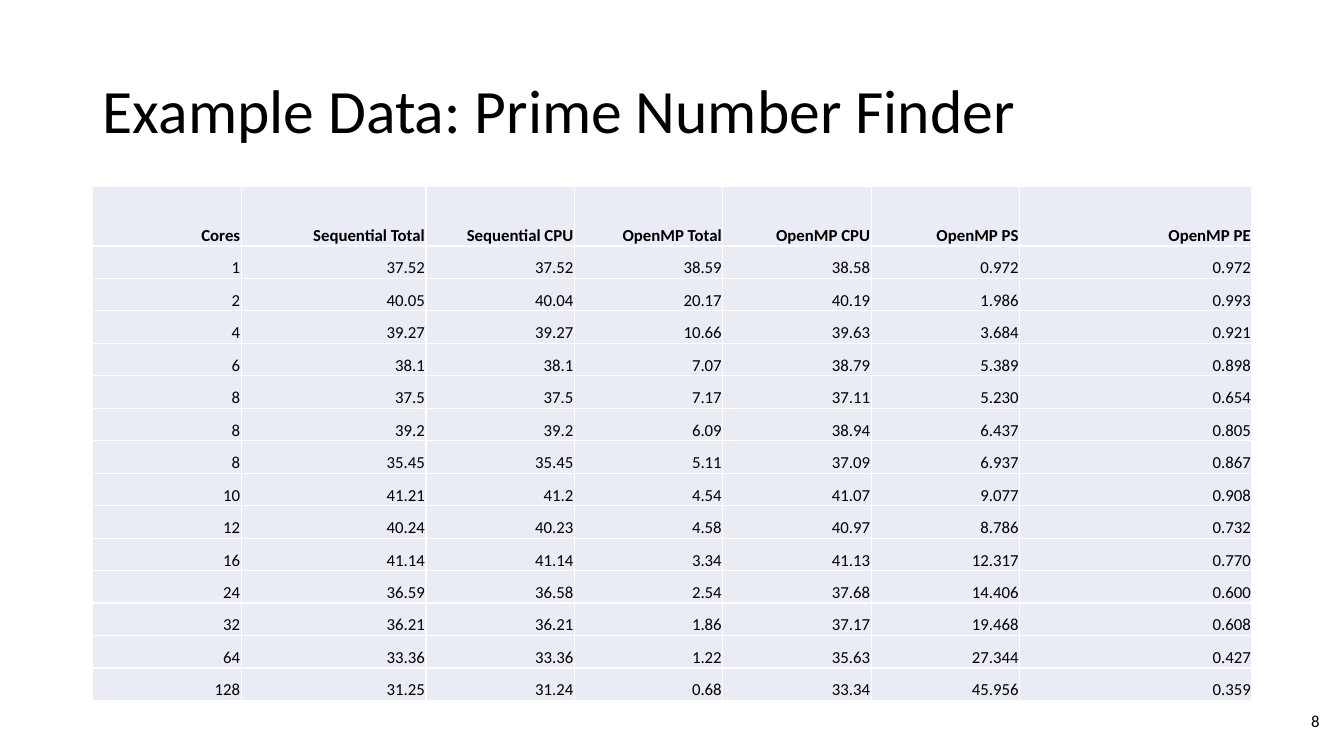
"""Build the slide that tabulates timings of the prime number finder."""
from dataclasses import dataclass

from lxml import etree
from pptx import Presentation
from pptx import util as u
from pptx.dml.color import RGBColor
from pptx.enum import text
from pptx.oxml import ns

BLACK = RGBColor(0x00, 0x00, 0x00)
WHITE = RGBColor(0xFF, 0xFF, 0xFF)
PALE_BLUE = RGBColor(0xE9, 0xEB, 0xF5)
FONT = "Calibri"
SLIDE_WIDTH, SLIDE_HEIGHT = u.Inches(13.33), u.Inches(7.5)


@dataclass(frozen=True)
class Area:
    """A rectangle in percent of the slide's width and height."""

    left: float
    top: float
    width: float
    height: float

    def box(self) -> tuple[int, int, int, int]:
        """Return left, top, width and height as slide lengths."""
        return (
            int(SLIDE_WIDTH * self.left / 100),
            int(SLIDE_HEIGHT * self.top / 100),
            int(SLIDE_WIDTH * self.width / 100),
            int(SLIDE_HEIGHT * self.height / 100),
        )


@dataclass(frozen=True)
class Column:
    """A table column with its heading and relative width."""

    heading: str
    share: float


TITLE_AREA = Area(6.9, 5.33, 86.25, 19.33)
TABLE_AREA = Area(6.9, 24.67, 86.25, 68)
NUMBER_AREA = Area(76.42, 92.67, 22.5, 5.33)
HEADER_SHARE = 0.59 / 5.1

COLUMNS = [
    Column("Cores", 1.47),
    Column("Sequential Total", 1.83),
    Column("Sequential CPU", 1.47),
    Column("OpenMP Total", 1.47),
    Column("OpenMP CPU", 1.47),
    Column("OpenMP PS", 1.47),
    Column("OpenMP PE", 2.3),
]
TIMINGS = """\
1 37.52 37.52 38.59 38.58 0.972 0.972
2 40.05 40.04 20.17 40.19 1.986 0.993
4 39.27 39.27 10.66 39.63 3.684 0.921
6 38.1 38.1 7.07 38.79 5.389 0.898
8 37.5 37.5 7.17 37.11 5.230 0.654
8 39.2 39.2 6.09 38.94 6.437 0.805
8 35.45 35.45 5.11 37.09 6.937 0.867
10 41.21 41.2 4.54 41.07 9.077 0.908
12 40.24 40.23 4.58 40.97 8.786 0.732
16 41.14 41.14 3.34 41.13 12.317 0.770
24 36.59 36.58 2.54 37.68 14.406 0.600
32 36.21 36.21 1.86 37.17 19.468 0.608
64 33.36 33.36 1.22 35.63 27.344 0.427
128 31.25 31.24 0.68 33.34 45.956 0.359"""


def write(frame, content: str, size: float, align, bold: bool = False) -> None:
    """Put one formatted paragraph into a text frame."""
    frame.text = content
    paragraph = frame.paragraphs[0]
    paragraph.alignment = align
    font = paragraph.runs[0].font
    font.name, font.size, font.bold = FONT, u.Pt(size), bold
    font.color.rgb = BLACK


def add_borders(cell) -> None:
    """Give a cell thin white lines on all four sides."""
    properties = cell._tc.get_or_add_tcPr()
    for side in ("lnL", "lnR", "lnT", "lnB"):
        line = etree.SubElement(properties, ns.qn(f"a:{side}"), w=str(u.Pt(1)))
        fill = etree.SubElement(line, ns.qn("a:solidFill"))
        etree.SubElement(fill, ns.qn("a:srgbClr"), val=str(WHITE))


def format_cell(cell, content: str, bold: bool) -> None:
    """Fill, border and label one table cell."""
    add_borders(cell)
    cell.fill.solid()
    cell.fill.fore_color.rgb = PALE_BLUE
    cell.vertical_anchor = text.MSO_ANCHOR.BOTTOM
    cell.margin_left = cell.margin_right = cell.margin_top = u.Inches(0.01)
    cell.margin_bottom = 0
    write(cell.text_frame, content, 12, text.PP_ALIGN.RIGHT, bold)


def add_title(slide) -> None:
    """Place and format the title placeholder."""
    title = slide.shapes.title
    title.left, title.top, title.width, title.height = TITLE_AREA.box()
    frame = title.text_frame
    frame.vertical_anchor = text.MSO_ANCHOR.MIDDLE
    write(frame, "Example Data: Prime Number Finder", 44, text.PP_ALIGN.LEFT)
    frame.paragraphs[0].line_spacing = 0.9


def add_timings(slide) -> None:
    """Add the table of timings by core count."""
    rows = [[column.heading for column in COLUMNS]]
    rows += [line.split() for line in TIMINGS.splitlines()]
    left, top, width, height = TABLE_AREA.box()
    table = slide.shapes.add_table(
        len(rows), len(COLUMNS), left, top, width, height
    ).table
    total = sum(column.share for column in COLUMNS)
    for table_column, column in zip(table.columns, COLUMNS):
        table_column.width = int(width * column.share / total)
    body_share = (1 - HEADER_SHARE) / (len(rows) - 1)
    for index, values in enumerate(rows):
        share = body_share if index else HEADER_SHARE
        table.rows[index].height = int(height * share)
        for position, value in enumerate(values):
            format_cell(table.cell(index, position), value, index == 0)


def add_number(slide) -> None:
    """Add the slide number in the bottom right corner."""
    frame = slide.shapes.add_textbox(*NUMBER_AREA.box()).text_frame
    frame.word_wrap = True
    frame.vertical_anchor = text.MSO_ANCHOR.MIDDLE
    write(frame, "8", 12, text.PP_ALIGN.RIGHT)


def main() -> None:
    """Build and save the presentation."""
    presentation = Presentation()
    presentation.slide_width = SLIDE_WIDTH
    presentation.slide_height = SLIDE_HEIGHT
    slide = presentation.slides.add_slide(presentation.slide_layouts[5])
    add_title(slide)
    add_timings(slide)
    add_number(slide)
    presentation.save("out.pptx")


if __name__ == "__main__":
    main()
